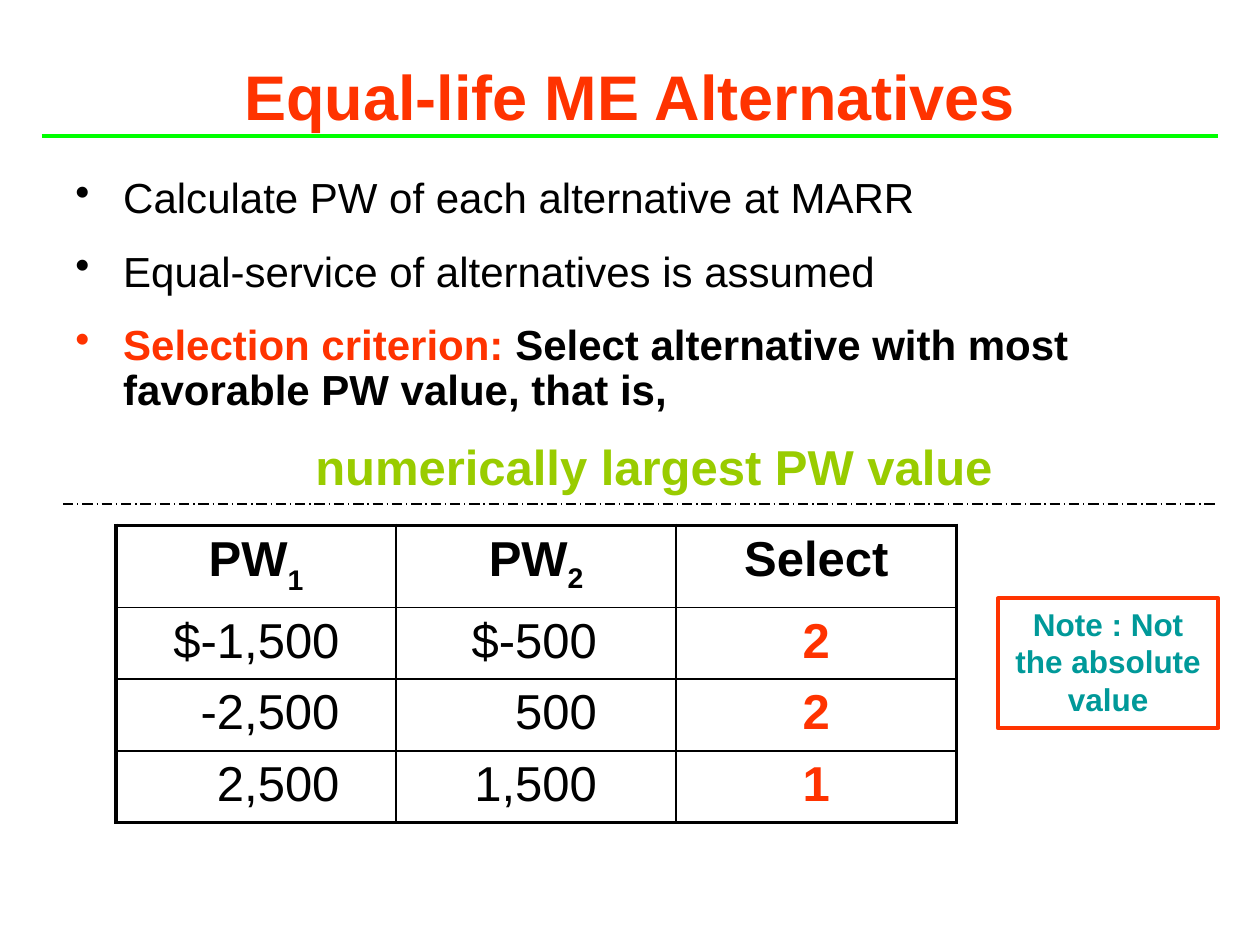
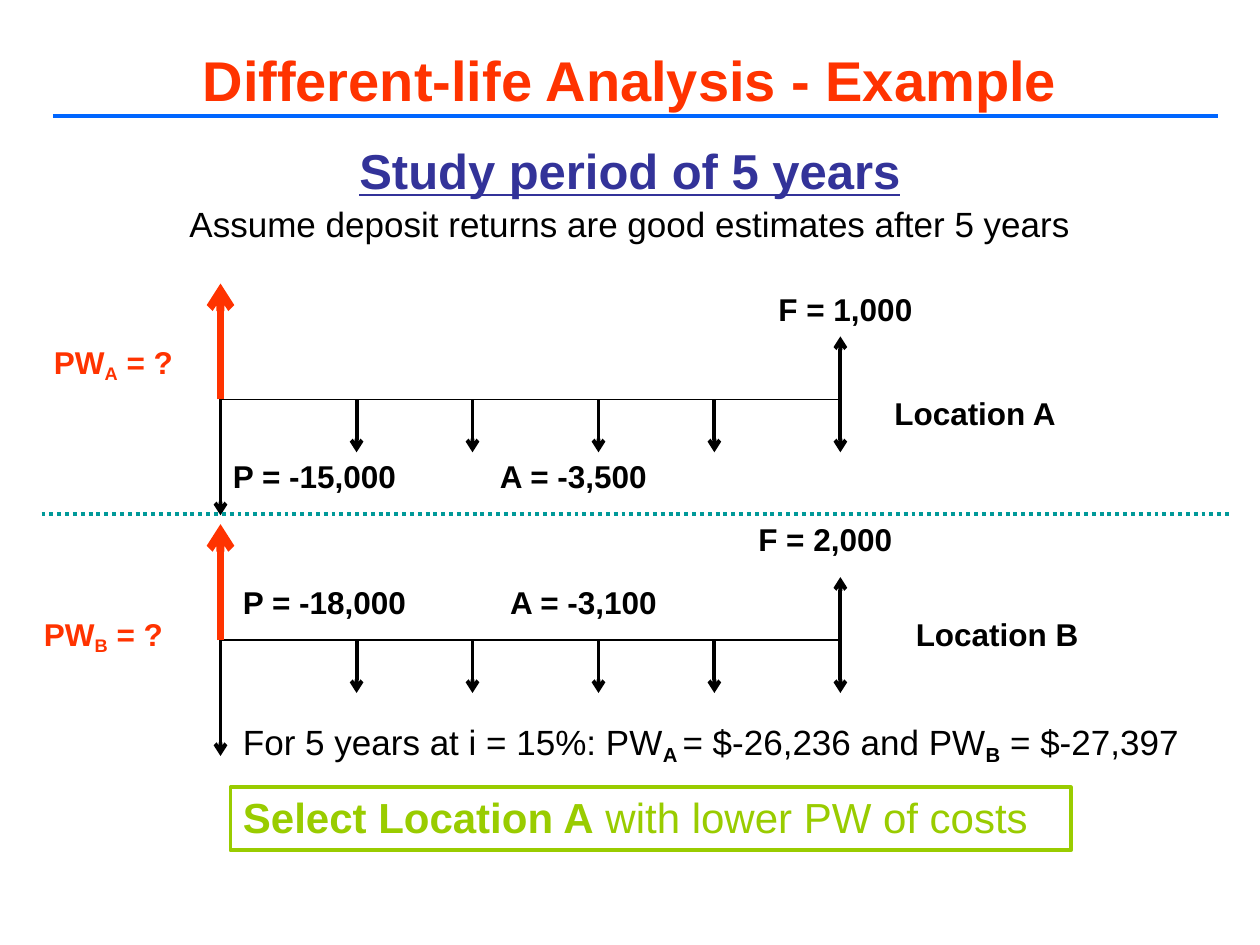
"""Build two slides on present worth comparison of alternatives."""
from lxml import etree
from pptx import Presentation
from pptx import util as u
from pptx.dml.color import RGBColor
from pptx.enum import dml, shapes, text
from pptx.oxml.ns import qn

RED = RGBColor(0xFF, 0x33, 0x00)
LIME = RGBColor(0x99, 0xCC, 0x00)
GREEN = RGBColor(0x00, 0xFF, 0x00)
TEAL = RGBColor(0x00, 0x99, 0x99)
BLUE = RGBColor(0x00, 0x66, 0xFF)
NAVY = RGBColor(0x33, 0x33, 0x99)
BLACK = RGBColor(0, 0, 0)
FONT = "Arial"
LEFT, MID, RIGHT = text.PP_ALIGN.LEFT, text.PP_ALIGN.CENTER, text.PP_ALIGN.RIGHT
DASH = dml.MSO_LINE


def place(*sizes):
    """Turn numbers into inches."""
    return [u.Inches(size) for size in sizes]


def write(para, words, size, color=BLACK, bold=False, align=LEFT, gap=0):
    """Fill a paragraph with a string or with (text, options) runs."""
    para.alignment = align
    para.space_before = u.Pt(gap)
    font = para.font
    font.name, font.size, font.bold = FONT, u.Pt(size), bold
    font.color.rgb = color
    for part, opts in [(words, {})] if isinstance(words, str) else words:
        run = para.add_run()
        run.text = part
        if "color" in opts:
            run.font.color.rgb = opts["color"]
        if "bold" in opts:
            run.font.bold = opts["bold"]
        if "base" in opts:
            run._r.get_or_add_rPr().set("baseline", str(opts["base"] * 1000))


def indent(para, bullet=False):
    """Indent a paragraph, with a hanging bullet if asked."""
    props = para._p.get_or_add_pPr()
    props.set("marL", str(u.Inches(0.38)))
    if bullet:
        props.set("indent", str(-u.Inches(0.38)))
        etree.SubElement(props, qn("a:buChar")).set("char", "•")


def box(slide, at):
    """Add a wrapping text box and return its frame."""
    frame = slide.shapes.add_textbox(*place(*at)).text_frame
    frame.word_wrap = True
    return frame


def label(slide, left, top, width, words, size=18, color=BLACK, bold=True):
    """Add a one-line label."""
    write(box(slide, (left, top, width, 0.4)).paragraphs[0], words, size, color, bold)


def frame_box(slide, at, color):
    """Add an outlined rectangle and return its text frame."""
    rect = slide.shapes.add_shape(shapes.MSO_SHAPE.RECTANGLE, *place(*at))
    rect.shadow.inherit = False
    rect.fill.background()
    rect.line.color.rgb = color
    rect.line.width = u.Pt(2.25)
    rect.text_frame.word_wrap = True
    rect.text_frame.vertical_anchor = text.MSO_ANCHOR.TOP
    return rect.text_frame


def line(slide, start, end, color=BLACK, width=2.25, dash=None, arrow=False):
    """Draw a straight line, with an arrowhead if asked."""
    link = slide.shapes.add_connector(
        shapes.MSO_CONNECTOR.STRAIGHT, *place(*start, *end))
    link.line.color.rgb = color
    link.line.width = u.Pt(width)
    if dash:
        link.line.dash_style = dash
    if arrow:
        etree.SubElement(link.line._get_or_add_ln(), qn("a:tailEnd")).set("type", "arrow")
    etree.SubElement(link._element.spPr, qn("a:effectLst"))


def new_slide(deck, title, height, size, left, color):
    """Add a slide with its title and the rule below it."""
    slide = deck.slides.add_slide(deck.slide_layouts[5])
    head = slide.shapes.title
    head.left, head.top, head.width, head.height = place(0.5, 0.32, 9, height)
    frame = head.text_frame
    frame.auto_size = text.MSO_AUTO_SIZE.NONE
    frame.vertical_anchor = text.MSO_ANCHOR.MIDDLE
    write(frame.paragraphs[0], title, size, RED, True, MID)
    rule = 1.08 if left < 0.4 else 0.92
    line(slide, (left, rule), (9.67, rule), color)
    return slide


def edge(cell, side, width):
    """Draw one border of a cell."""
    border = etree.SubElement(cell._tc.get_or_add_tcPr(), qn("a:ln" + side))
    border.set("w", str(u.Pt(width)))
    fill = etree.SubElement(border, qn("a:solidFill"))
    etree.SubElement(fill, qn("a:srgbClr")).set("val", str(BLACK))


def grid(slide, rows):
    """Add the table of PW values with a heavy outer frame."""
    count, wide = len(rows), len(rows[0])
    table = slide.shapes.add_table(
        count, wide, *place(0.92, 4.17, 6.67, 2.33)).table
    table.first_row = table.horz_banding = False
    for col in table.columns:
        col.width = u.Inches(6.67 / wide)
    for r, row in enumerate(rows):
        table.rows[r].height = u.Inches(0.57 if r else 0.62)
        for c, words in enumerate(row):
            cell = table.cell(r, c)
            outer = {"L": c == 0, "R": c == wide - 1, "T": r == 0, "B": r == count - 1}
            for side, heavy in outer.items():
                edge(cell, side, 2.25 if heavy else 1)
            cell.fill.background()
            last = c == wide - 1
            number = r > 0 and not last
            if number:
                cell.margin_right = u.Inches((0.45, 0.63)[c])
            write(cell.text_frame.paragraphs[0], words, 28,
                  RED if r and last else BLACK, not number, RIGHT if number else MID)


def flow(slide, base, name, first, cost, final, spots):
    """Draw the cash flow diagram of one location."""
    start, end = 1.75, 6.67
    line(slide, (start, base), (end, base), width=0.75)
    line(slide, (start, base), (start, base + 0.92), arrow=True)
    for year in (2.83, 3.75, 4.75, 5.67, end):
        line(slide, (year, base), (year, base + 0.42), arrow=True)
    line(slide, (end, base), (end, base - 0.5), arrow=True)
    line(slide, (start, base), (start, base - 0.92), RED, 4.5, arrow=True)
    worth, place_at, price, value = spots
    label(slide, *worth, 1.3, [("PW", {}), (name, {"base": -20}), (" = ?", {})], color=RED)
    label(slide, *place_at, 1.67, "Location " + name)
    left, top = price
    label(slide, left, top, 1.7, "P = " + first)
    label(slide, left + 2.12, top, 1.6, "A = " + cost)
    label(slide, *value, 1.5, "F = " + final)


def equal(deck):
    """Build the slide on equal lives."""
    slide = new_slide(deck, "Equal-life ME Alternatives", 0.87, 36, 0.33, GREEN)
    frame = box(slide, (0.5, 1.36, 9, 2.6))
    points = ["Calculate PW of each alternative at MARR",
              "Equal-service of alternatives is assumed",
              [("Selection criterion:", {"color": RED, "bold": True}),
               (" Select alternative with most favorable PW value, that is,", {"bold": True})]]
    for i, words in enumerate(points):
        para = frame.add_paragraph() if i else frame.paragraphs[0]
        indent(para, True)
        para.line_spacing = 0.9
        write(para, words, 24, gap=16 if i else 0)
    para = frame.add_paragraph()
    indent(para)
    para.line_spacing = 0.9
    write(para, "numerically largest PW value", 28, LIME, True, MID, 16)
    grid(slide, [
        [[("PW", {}), ("1", {"base": -30})], [("PW", {}), ("2", {"base": -26})], "Select"],
        ["$-1,500", "$-500", "2"],
        ["-2,500", "500", "2"],
        ["2,500", "1,500", "1"]])
    note = frame_box(slide, (7.92, 4.75, 1.75, 1.03), RED)
    write(note.paragraphs[0], "Note : Not the absolute value", 18, TEAL, True, MID)
    line(slide, (0.5, 4), (9.67, 4), width=0.75, dash=DASH.LONG_DASH_DOT)


def differ(deck):
    """Build the slide on different lives."""
    slide = new_slide(deck, "Different-life Analysis - Example", 0.62, 32, 0.42, BLUE)
    frame = box(slide, (0.5, 1.12, 9, 0.9))
    head, sub = frame.paragraphs[0], frame.add_paragraph()
    head.line_spacing = sub.line_spacing = 0.9
    write(head, "Study period of 5 years", 28, NAVY, True, MID)
    head.font.underline = True
    write(sub, "Assume deposit returns are good estimates after 5 years", 20, align=MID, gap=4)
    flow(slide, 3.17, "A", "-15,000", "-3,500", "1,000",
         [(0.33, 2.67), (7, 3.08), (1.75, 3.58), (6.08, 2.25)])
    flow(slide, 5.08, "B", "-18,000", "-3,100", "2,000",
         [(0.25, 4.83), (7.17, 4.83), (1.83, 4.58), (5.92, 4.08)])
    line(slide, (0.33, 4.08), (9.75, 4.08), TEAL, dash=DASH.ROUND_DOT)
    low = {"bold": True, "base": -20}
    label(slide, 1.83, 5.67, 8, [
        ("For 5 years at i = 15%: PW", {}), ("A ", low), ("= $-26,236 and PW", {}),
        ("B", low), (" = $-27,397", {})], 20, bold=False)
    pick = frame_box(slide, (1.83, 6.25, 6.67, 0.5), LIME)
    pick.margin_top = u.Inches(0.03)
    write(pick.paragraphs[0], [("Select Location A", {"bold": True}),
                               (" with lower PW of costs", {})], 24, LIME)


def main():
    """Build and save the deck."""
    deck = Presentation()
    deck.slide_width, deck.slide_height = place(10, 7.5)
    equal(deck)
    differ(deck)
    deck.save("out.pptx")


if __name__ == "__main__":
    main()
